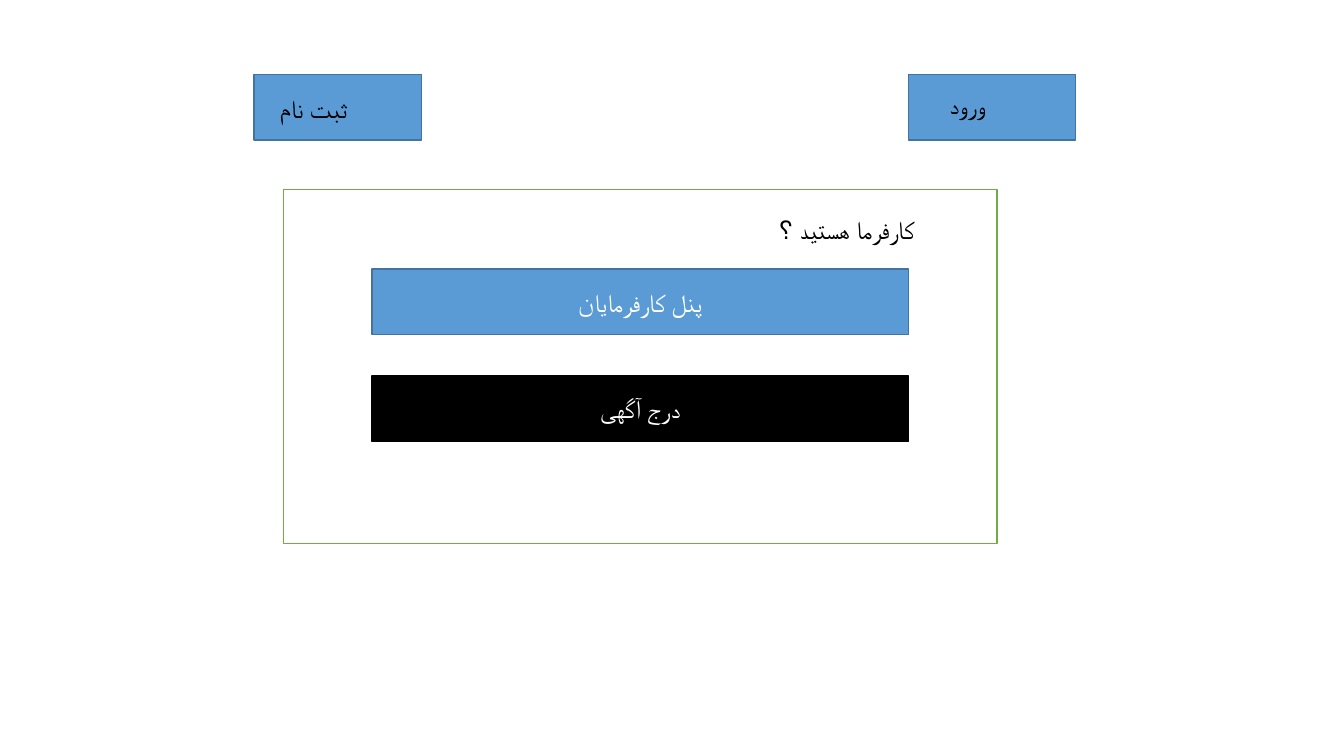
from dataclasses import dataclass

from pptx import Presentation
from pptx.dml.color import RGBColor
from pptx.enum.shapes import MSO_SHAPE
from pptx.enum.text import MSO_ANCHOR, MSO_AUTO_SIZE, PP_ALIGN
from pptx.slide import Slide
from pptx.text.text import TextFrame
from pptx.util import Pt

PX = 9144  # EMU per px, 100 px to the inch
FONT = "Calibri"
SIZE = Pt(18)

WHITE = RGBColor(0xFF, 0xFF, 0xFF)
BLACK = RGBColor(0x00, 0x00, 0x00)
BLUE = RGBColor(0x5B, 0x9B, 0xD5)
DARK_BLUE = RGBColor(0x43, 0x73, 0x9E)
GREEN = RGBColor(0x70, 0xAD, 0x47)

RECT = MSO_SHAPE.RECTANGLE
MIDDLE = MSO_ANCHOR.MIDDLE
FIT_SHAPE = MSO_AUTO_SIZE.SHAPE_TO_FIT_TEXT
CENTER = PP_ALIGN.CENTER
RIGHT = PP_ALIGN.RIGHT

BUTTON_H = 65
LABEL_H = 40
PANEL_BUTTON_X, PANEL_BUTTON_W = 369, 532
TOP_BUTTON_Y, TOP_BUTTON_W = 74, 166


@dataclass(frozen=True)
class Box:
    x: int
    y: int
    w: int
    h: int
    fill: RGBColor
    line: RGBColor
    text: str = ""


@dataclass(frozen=True)
class Label:
    x: int
    y: int
    w: int
    text: str
    align: PP_ALIGN = CENTER


BOXES = [
    # Employer panel and its two buttons
    Box(281, 188, 708, 351, WHITE, GREEN),
    Box(PANEL_BUTTON_X, 373, PANEL_BUTTON_W, BUTTON_H, BLACK, BLACK, "درج آگهی"),
    Box(PANEL_BUTTON_X, 267, PANEL_BUTTON_W, BUTTON_H, BLUE, DARK_BLUE, "پنل کارفرمایان"),
    # Sign-up and login buttons
    Box(252, TOP_BUTTON_Y, TOP_BUTTON_W, BUTTON_H, BLUE, DARK_BLUE),
    Box(901, TOP_BUTTON_Y, TOP_BUTTON_W, BUTTON_H, BLUE, DARK_BLUE),
]

LABELS = [
    Label(297, 208, 620, "کارفرما هستید ؟", RIGHT),
    Label(893, 84, 140, "ورود "),
    Label(239, 88, 144, "ثبت نام"),
]


def write(tf: TextFrame, text: str, align: PP_ALIGN, color: RGBColor) -> None:
    tf.word_wrap = True
    p = tf.paragraphs[0]
    p.alignment = align
    r = p.add_run()
    r.text = text
    r.font.name = FONT
    r.font.size = SIZE
    r.font.color.rgb = color


def draw_box(s: Slide, box: Box) -> None:
    sp = s.shapes.add_shape(RECT, box.x * PX, box.y * PX, box.w * PX, box.h * PX)
    sp.shadow.inherit = False
    sp.fill.solid()
    sp.fill.fore_color.rgb = box.fill
    sp.line.color.rgb = box.line
    sp.line.width = Pt(1)
    if box.text:
        sp.text_frame.vertical_anchor = MIDDLE
        write(sp.text_frame, box.text, CENTER, WHITE)


def draw_label(s: Slide, label: Label) -> None:
    sp = s.shapes.add_textbox(label.x * PX, label.y * PX, label.w * PX, LABEL_H * PX)
    write(sp.text_frame, label.text, label.align, BLACK)
    sp.text_frame.auto_size = FIT_SHAPE


def main() -> None:
    prs = Presentation()
    prs.slide_width = 1333 * PX
    prs.slide_height = 750 * PX
    s = prs.slides.add_slide(prs.slide_layouts[6])
    for box in BOXES:
        draw_box(s, box)
    for label in LABELS:
        draw_label(s, label)
    prs.save("out.pptx")


if __name__ == "__main__":
    main()
